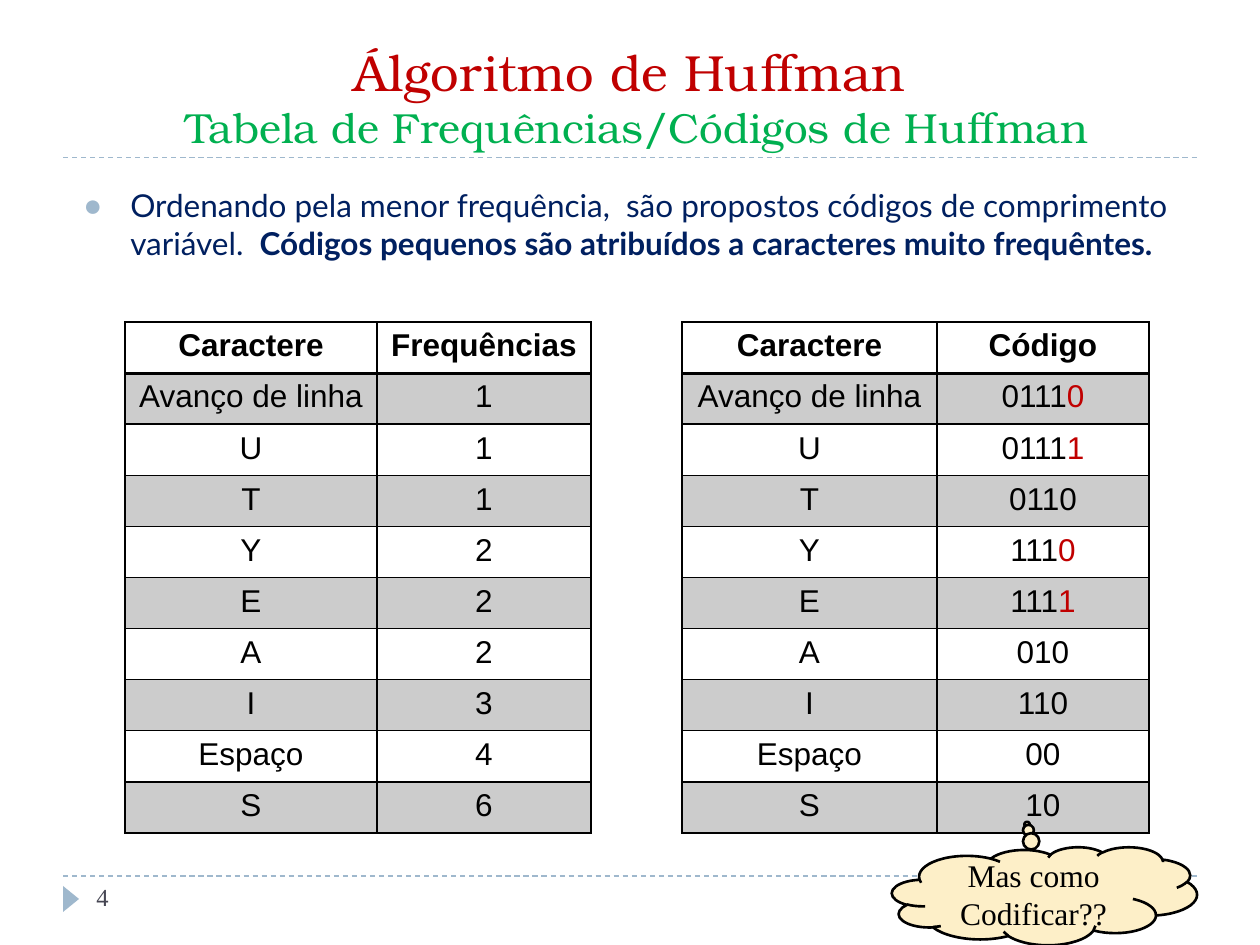
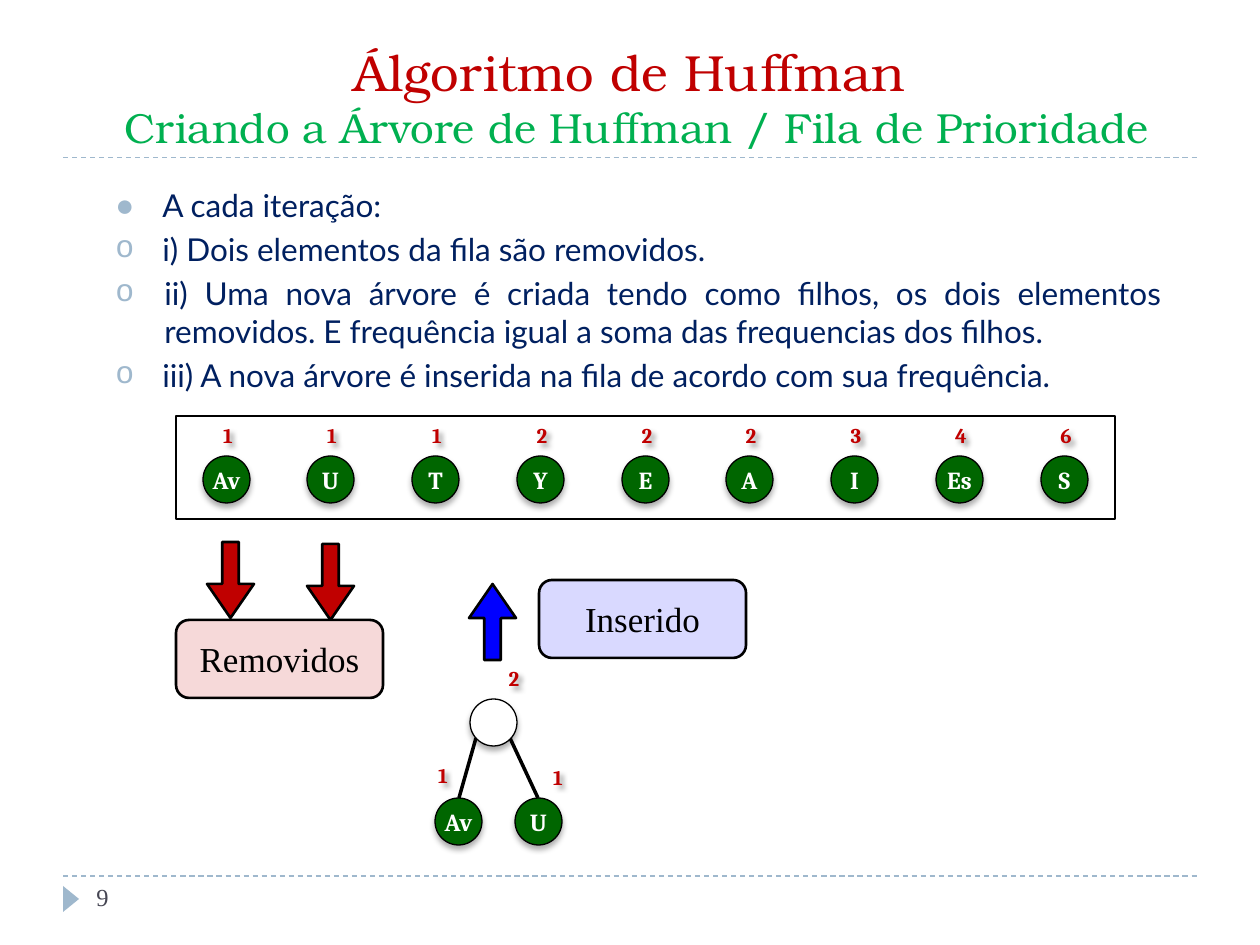
from lxml import etree
from pptx import Presentation
from pptx.dml.color import RGBColor
from pptx.enum.dml import MSO_LINE
from pptx.enum.shapes import MSO_CONNECTOR, MSO_SHAPE
from pptx.enum.text import MSO_ANCHOR, PP_ALIGN
from pptx.oxml.ns import qn
from pptx.util import Pt

STRAIGHT, DASH = MSO_CONNECTOR.STRAIGHT, MSO_LINE.DASH
OVAL, RECT, DOWN = MSO_SHAPE.OVAL, MSO_SHAPE.RECTANGLE, MSO_SHAPE.DOWN_ARROW
TRIANGLE, CLOUD = MSO_SHAPE.ISOSCELES_TRIANGLE, MSO_SHAPE.CLOUD_CALLOUT
ROUNDED = MSO_SHAPE.FLOWCHART_ALTERNATE_PROCESS
LEFT, CENTER, JUSTIFY = PP_ALIGN.LEFT, PP_ALIGN.CENTER, PP_ALIGN.JUSTIFY
MIDDLE, BOTTOM = MSO_ANCHOR.MIDDLE, MSO_ANCHOR.BOTTOM

PX = 914400 / 126  # EMU per pixel

THEME = {
    "black": "000000", "white": "FFFFFF", "accent": "9FB8CD", "red": "C00000",
    "green": "006600", "blue": "0000FF", "band": "CCCCCC", "cloud": "FDEFC8",
    "pale red": "F6D9D9", "pale blue": "D9D9FF",
    # type: font, size, bold, colour
    "title": dict(name="TeX Gyre Bonum", size=29, bold=False, color="C00000"),
    "subtitle": dict(name="TeX Gyre Bonum", size=24, bold=False, color="00B050"),
    "number": dict(name="Times New Roman", size=14, bold=False, color="464653"),
    "body": dict(name="Lato", size=18, bold=False, color="002060"),
    "strong": dict(name="Lato", size=18, bold=True, color="002060"),
    "head": dict(name="Arial", size=18, bold=True, color="000000"),
    "cell": dict(name="Arial", size=18, bold=False, color="000000"),
    "last bit": dict(name="Arial", size=18, bold=False, color="C00000"),
    "callout": dict(name="Times New Roman", size=18, bold=False, color="000000"),
    "step": dict(name="Times New Roman", size=20, bold=False, color="000000"),
    "node": dict(name="Cambria", size=14, bold=True, color="FFFFFF"),
    "weight": dict(name="Cambria", size=12, bold=True, color="C00000"),
    # shadows: blur and distance in points, angle in degrees, opacity in percent
    "node shadow": (3.5, 2.2, 90, 32),
    "weight shadow": (3, 3, 45, 40),
}


def write(paragraph, align, *runs):
    """Fill a paragraph with (text, type style) runs; a None text breaks the line."""
    paragraph.alignment = align
    for text, style in runs:
        if text is None:
            paragraph.add_line_break()
            continue
        run = paragraph.add_run()
        run.text = text
        for key, value in THEME[style].items():
            if key == "color":
                run.font.color.rgb = RGBColor.from_string(value)
            else:
                setattr(run.font, key, Pt(value) if key == "size" else value)


def put(shapes, kind, at, fill=None, line=None, width=1.5, shadow=None):
    """Add a line (at = both ends), a preset shape or, without a kind, a text box."""
    place = [round(v * PX) for v in at]
    if kind is STRAIGHT:
        part = shapes.add_connector(kind, *place)
    else:
        part = shapes.add_shape(kind, *place) if kind else shapes.add_textbox(*place)
        part.text_frame.word_wrap = True
        if fill:
            part.fill.solid()
            part.fill.fore_color.rgb = RGBColor.from_string(THEME[fill])
        else:
            part.fill.background()
    if line:
        part.line.color.rgb = RGBColor.from_string(THEME[line])
        part.line.width = Pt(width)
    else:
        part.line.fill.background()
    effects = etree.SubElement(part._element.spPr, qn("a:effectLst"))
    if shadow:
        blur, distance, angle, opacity = THEME[shadow]
        outer = etree.SubElement(effects, qn("a:outerShdw"), blurRad=str(Pt(blur)),
                                 dist=str(Pt(distance)), dir=str(angle * 60000),
                                 rotWithShape="0")
        color = etree.SubElement(outer, qn("a:srgbClr"), val=THEME["black"])
        etree.SubElement(color, qn("a:alpha"), val=str(opacity * 1000))
    return part


deck = Presentation()
deck.slide_width, deck.slide_height = round(1260 * PX), round(945 * PX)

# Content of each slide: subtitle, page number, body place, bullets
# Bullet: sign, sign font, indent, alignment, runs
PAGES = [
    (" Tabela de Frequências/Códigos de Huffman", "4", (71, 180, 1162, 95), [
        ("●", "Arial", 47, LEFT, [
            ("Ordenando pela menor frequência,  são propostos códigos de "
             "comprimento variável.  ", "body"),
            ("Códigos pequenos são atribuídos a caracteres muito frequêntes.", "strong")])]),
    (" Criando a Árvore de Huffman / Fila de Prioridade", "9", (103, 180, 1071, 231), [
        ("●", "Arial", 47, JUSTIFY, [("A cada iteração:", "body")]),
        ("o", "Courier New", 47, JUSTIFY, [
            ("i) Dois elementos da fila são removidos.", "body")]),
        ("o", "Courier New", 49, JUSTIFY, [
            ("ii) Uma nova árvore é criada tendo como filhos, os dois elementos "
             "removidos. E frequência igual a soma das frequencias dos filhos.", "body")]),
        ("o", "Courier New", 47, JUSTIFY, [
            ("iii) A nova árvore é inserida na fila de acordo com sua frequência.",
             "body")])]),
]

canvases = []
for subtitle, number, body_place, bullets in PAGES:
    shapes = deck.slides.add_slide(deck.slide_layouts[6]).shapes
    canvases.append(shapes)

    # Rules and page marker
    for y in (876, 157.5):
        put(shapes, STRAIGHT, (63, y, 1197, y), line="accent", width=0.75).line.dash_style = DASH
    put(shapes, TRIANGLE, (58, 891, 26, 16), "accent").rotation = 90

    # Title and page number
    heading = put(shapes, None, (63, 32, 1134, 126)).text_frame
    heading.vertical_anchor = BOTTOM
    write(heading.paragraphs[0], CENTER, ("Álgoritmo de Huffman", "title"),
          (None, None), (subtitle, "subtitle"))
    page = put(shapes, None, (84, 876, 273, 50)).text_frame
    write(page.paragraphs[0], LEFT, (number, "number"))

    # Bulleted body
    body = put(shapes, None, body_place).text_frame
    for i, (sign, sign_font, indent, align, runs) in enumerate(bullets):
        paragraph = body.add_paragraph() if i else body.paragraphs[0]
        write(paragraph, align, *runs)
        paragraph.space_before = Pt(3.6 if i else 0)
        props = paragraph._p.get_or_add_pPr()
        props.set("marL", str(round(indent * PX)))
        props.set("indent", str(round(-indent * PX)))
        tint = etree.SubElement(props, qn("a:buClr"))
        etree.SubElement(tint, qn("a:srgbClr"), val=THEME["accent"])
        etree.SubElement(props, qn("a:buFont"), typeface=sign_font)
        etree.SubElement(props, qn("a:buChar"), char=sign)

coding, queue = canvases

# Slide 1: frequency and code tables
CHARACTERS = ["Avanço de linha", "U", "T", "Y", "E", "A", "I", "Espaço", "S"]
FREQUENCIES = ["1", "1", "1", "2", "2", "2", "3", "4", "6"]
# Code, and its red last bit
CODES = [("0111", "0"), ("0111", "1"), ("0110", ""), ("111", "0"), ("111", "1"),
         ("010", ""), ("110", ""), ("00", ""), ("10", "")]
TABLES = [
    (125, (252, 214), "Frequências", [(f, "") for f in FREQUENCIES]),
    (682, (255, 212), "Código", CODES),
]
for left, widths, value_head, values in TABLES:
    rows = [[("Caractere", ""), (value_head, "")]]
    rows += [[(name, ""), value] for name, value in zip(CHARACTERS, values)]
    place = [round(v * PX) for v in (left, 322, sum(widths), 51.1 * len(rows))]
    table = coding.add_table(len(rows), 2, *place).table
    table.first_row = table.horz_banding = False
    for column, width in zip(table.columns, widths):
        column.width = round(width * PX)
    for r, row in enumerate(rows):
        for c, (text, last_bit) in enumerate(row):
            cell = table.cell(r, c)
            runs = [(text, "cell" if r else "head")]
            if last_bit:
                runs.append((last_bit, "last bit"))
            write(cell.text_frame.paragraphs[0], CENTER, *runs)
            heavy = {0: "lnB", 1: "lnT"}.get(r)
            for side in ("lnL", "lnR", "lnT", "lnB"):
                border = etree.SubElement(cell._tc.get_or_add_tcPr(), qn("a:" + side),
                                          w=str(Pt(2 if side == heavy else 1)))
                ink = etree.SubElement(border, qn("a:solidFill"))
                etree.SubElement(ink, qn("a:srgbClr"), val=THEME["black"])
            if r % 2:
                cell.fill.solid()
                cell.fill.fore_color.rgb = RGBColor.from_string(THEME["band"])
            else:
                cell.fill.background()

question = put(coding, CLOUD, (892, 847, 305, 98), "cloud", "black")
question.adjustments[0], question.adjustments[1] = -0.057, -0.729
question.text_frame.vertical_anchor = MIDDLE
write(question.text_frame.paragraphs[0], CENTER, ("Mas como Codificar??", "callout"))

# Slide 2: priority queue and the new tree
put(queue, RECT, (176, 416, 939, 103), line="black")
tree = queue.add_group_shape().shapes
for ends in ((538, 798, 510, 738), (459, 798, 476, 738)):
    put(tree, STRAIGHT, ends, line="black", width=2)

# Node: parent, name, left, top, weight, left and top of the weight
QUEUE_NAMES = ["Av", "U", "T", "Y", "E", "A", "I", "Es", "S"]
nodes = [(queue, name, 203 + 838 * i // 8, 456, weight, 202 + 838 * i // 8, 416)
         for i, (name, weight) in enumerate(zip(QUEUE_NAMES, FREQUENCIES))]
nodes += [(tree, "", 470, 699, "2", 488, 659),
          (tree, "U", 515, 798, "1", 532, 758),
          (tree, "Av", 435, 798, "1", 417, 756)]
for parent, name, x, y, weight, weight_x, weight_y in nodes:
    node = put(parent, OVAL, (x, y, 47, 47), "green" if name else "white", "black", 0.75,
               "node shadow").text_frame
    for side in ("left", "top", "right", "bottom"):
        setattr(node, "margin_" + side, 0)
    node.vertical_anchor = MIDDLE
    if name:
        write(node.paragraphs[0], CENTER, (name, "node"))
    label = put(parent, None, (weight_x, weight_y, 52, 38), shadow="weight shadow").text_frame
    label.vertical_anchor = MIDDLE
    write(label.paragraphs[0], CENTER, (weight, "weight"))

# Arrows: two out of the queue, one back in
for x, y, color, turn in ((207, 542, "red", 0), (307, 544, "red", 0), (469, 584, "blue", 180)):
    arrow = put(queue, DOWN, (x, y, 47, 76), color, "black")
    arrow.adjustments[0], arrow.adjustments[1] = 0.35, 0.724
    arrow.rotation = turn

# Step names
for x, y, color, text in ((176, 620, "pale red", "Removidos"), (539, 580, "pale blue", "Inserido")):
    step = put(queue, ROUNDED, (x, y, 207, 78), color, "black").text_frame
    step.vertical_anchor = MIDDLE
    write(step.paragraphs[0], CENTER, (text, "step"))

deck.save("out.pptx")
